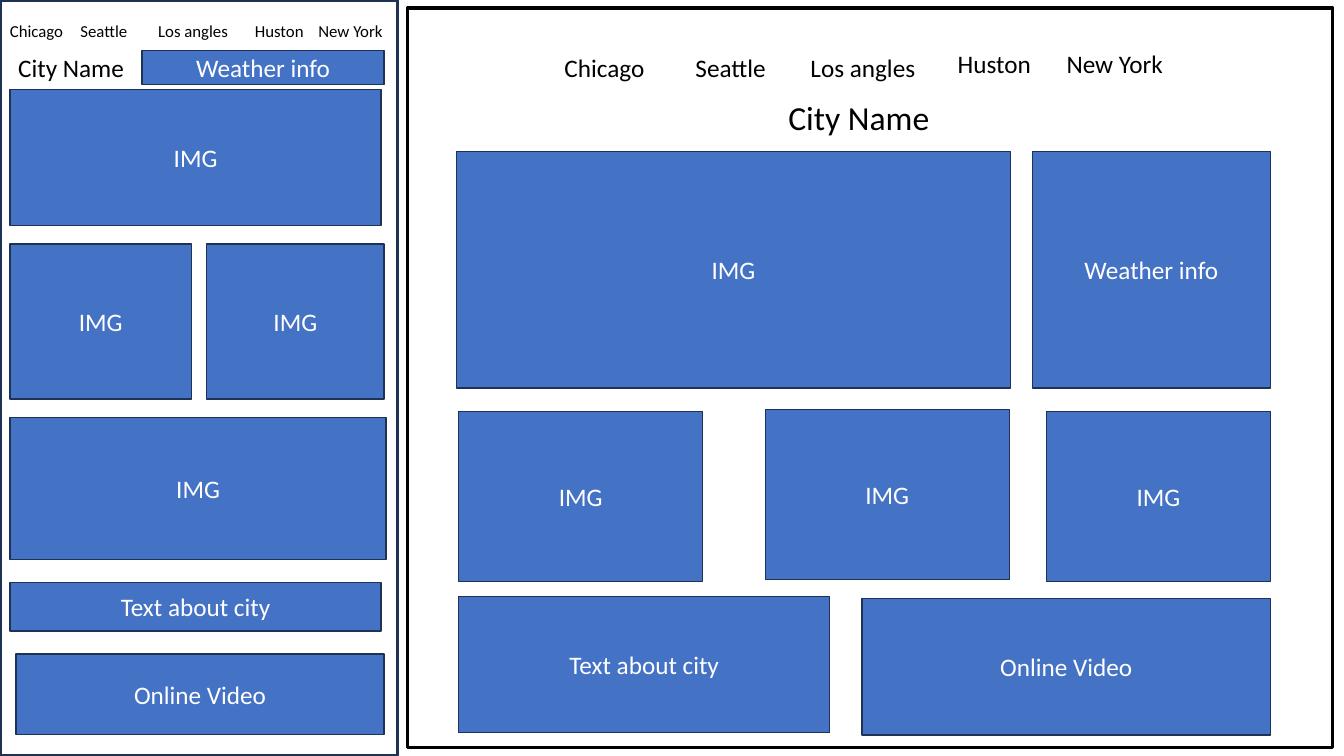
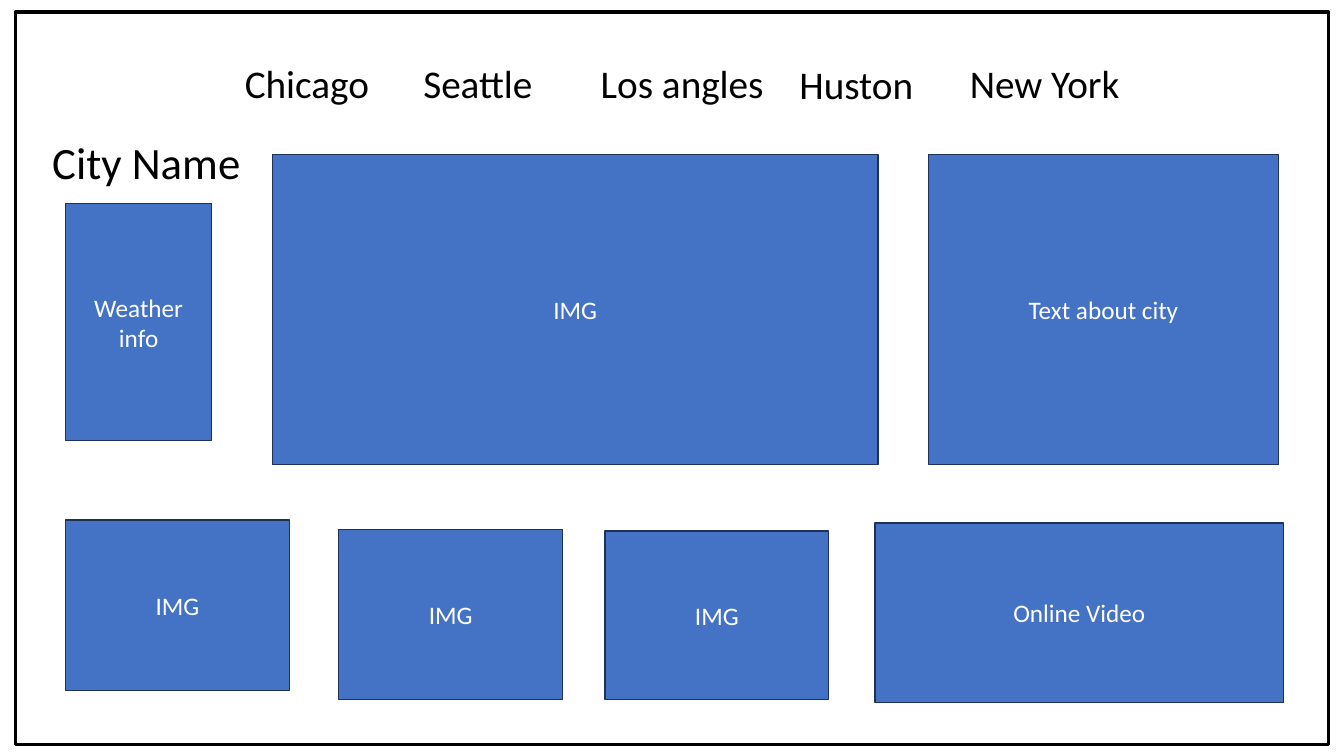
from pptx import Presentation
from pptx.dml.color import RGBColor
from pptx.enum import shapes, text
from pptx.util import Inches, Pt

FONT = "Calibri"
BLACK, WHITE, BLUE, NAVY = "000000", "FFFFFF", "4472C4", "1E3256"
CITIES = ["Chicago", "Seattle", "Los angles", "Huston", "New York"]
PHONE_WIDTHS = [0.77, 0.77, 0.95, 0.7, 0.9]
WIDE_WIDTHS = [1.77, 1.97, 2.3, 1.79, 2.3]
IMAGE, WEATHER = "IMG", "Weather info"
ABOUT, VIDEO = "Text about city", "Online Video"


def color(value):
    return RGBColor.from_string(value)


class Wireframe:
    """Holds the deck, the current slide and the shared style."""

    def __init__(self):
        self.deck = Presentation()
        self.deck.slide_width = Inches(13.33)
        self.deck.slide_height = Inches(7.5)
        self.page = None

    def new_page(self):
        self.page = self.deck.slides.add_slide(self.deck.slide_layouts[6])

    def set_words(self, box, words, size, ink, align):
        frame = box.text_frame
        frame.word_wrap = True
        para = frame.paragraphs[0]
        para.text = words
        para.alignment = align
        para.font.name = FONT
        para.font.size = Pt(size)
        para.font.color.rgb = color(ink)

    def rectangle(self, place, fill, line, weight):
        box = self.page.shapes.add_shape(
            shapes.MSO_SHAPE.RECTANGLE, *map(Inches, place))
        box.shadow.inherit = False
        box.fill.solid()
        box.fill.fore_color.rgb = color(fill)
        box.line.color.rgb = color(line)
        box.line.width = Pt(weight)
        return box

    def screen(self, place, line=BLACK):
        self.rectangle(place, WHITE, line, 2.25)

    def block(self, words, *place):
        box = self.rectangle(place, BLUE, NAVY, 1)
        box.text_frame.vertical_anchor = text.MSO_ANCHOR.MIDDLE
        self.set_words(box, words, 18, WHITE, text.PP_ALIGN.CENTER)

    def label(self, words, place, size, align=text.PP_ALIGN.LEFT):
        box = self.page.shapes.add_textbox(*map(Inches, place))
        box.text_frame.auto_size = text.MSO_AUTO_SIZE.SHAPE_TO_FIT_TEXT
        self.set_words(box, words, size, BLACK, align)

    def city_menu(self, lefts, tops, widths, height, size):
        for city, left, top, width in zip(CITIES, lefts, tops, widths):
            self.label(city, (left, top, width, height), size)


frame = Wireframe()

# Slide 1, left: phone layout
frame.new_page()
frame.screen((0, 0, 3.94, 7.5), NAVY)
frame.city_menu([0, 0.7, 1.47, 2.43, 3.06], [0.16] * 5, PHONE_WIDTHS, 0.3, 12)
frame.label("City Name", (0.06, 0.47, 1.29, 0.4), 18, text.PP_ALIGN.CENTER)
frame.block(WEATHER, 1.41, 0.5, 2.4, 0.34)
frame.block(IMAGE, 0.1, 0.89, 3.68, 1.35)
frame.block(IMAGE, 0.1, 2.42, 1.8, 1.54)
frame.block(IMAGE, 2.05, 2.42, 1.76, 1.54)
frame.block(IMAGE, 0.1, 4.14, 3.73, 1.41)
frame.block(ABOUT, 0.1, 5.78, 3.68, 0.48)
frame.block(VIDEO, 0.16, 6.49, 3.65, 0.8)

# Slide 1, right: tablet layout
frame.screen((4.04, 0.08, 9.18, 7.34))
frame.city_menu([5.5, 6.8, 7.94, 9.4, 10.48], [0.47] * 3 + [0.43] * 2,
                WIDE_WIDTHS, 0.4, 18)
frame.label("City Name", (7.72, 0.91, 1.77, 0.5), 24)
frame.block(IMAGE, 4.53, 1.5, 5.49, 2.35)
frame.block(WEATHER, 10.24, 1.5, 2.36, 2.35)
for left, top, width in [(4.55, 4.08, 2.42), (7.59, 4.06, 2.42),
                         (10.38, 4.08, 2.22)]:
    frame.block(IMAGE, left, top, width, 1.69)
frame.block(ABOUT, 4.55, 5.92, 3.68, 1.35)
frame.block(VIDEO, 8.55, 5.94, 4.05, 1.35)

# Slide 2: desktop layout
frame.new_page()
frame.screen((0.15, 0.12, 13.03, 7.27))
frame.city_menu([2.33, 4.1, 5.86, 7.83, 9.52], [0.54] * 3 + [0.55, 0.54],
                WIDE_WIDTHS, 0.57, 28)
frame.label("City Name", (0.42, 1.29, 2.2, 0.64), 32)
frame.block(WEATHER, 0.65, 2.02, 1.45, 2.35)
frame.block(IMAGE, 2.7, 1.53, 6.01, 3.08)
frame.block(ABOUT, 9.21, 1.53, 3.47, 3.08)
for left, top, height in [(0.65, 5.16, 1.69), (3.36, 5.25, 1.69),
                          (6, 5.27, 1.67)]:
    frame.block(IMAGE, left, top, 2.22, height)
frame.block(VIDEO, 8.68, 5.19, 4.05, 1.78)

frame.deck.save("out.pptx")
